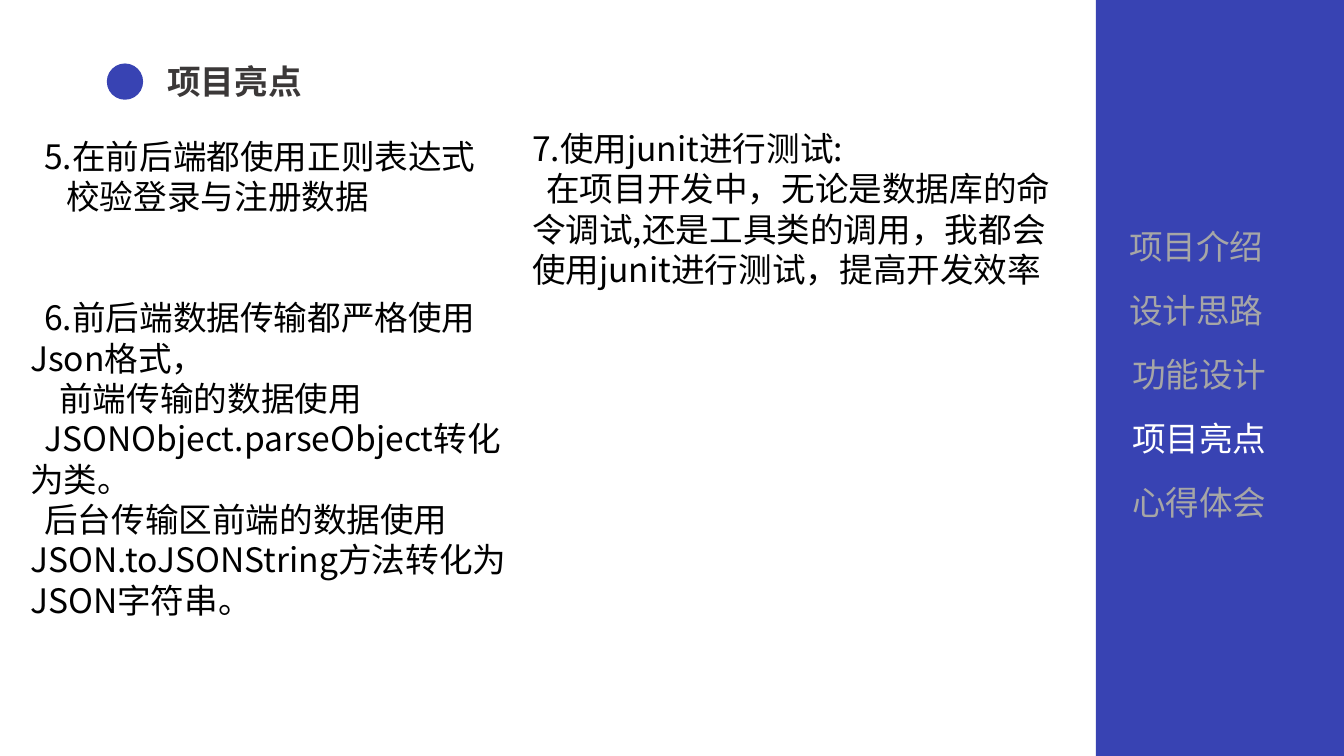
from pptx import Presentation
from pptx.dml.color import RGBColor
from pptx.enum import shapes, text
from pptx.oxml import ns
from pptx.util import Inches, Pt
from lxml import etree

COLORS = {"accent": "3843B3", "title": "3B3838", "body": "000000",
          "muted": "A6A6A6", "active": "FFFFFF"}
FONT = "Noto Sans CJK SC"
LINE = 0.4  # line pitch in inches

NAV = ["项目介绍", "设计思路", "功能设计", "项目亮点", "心得体会"]
# Each paragraph: text, first-line indent, space before
LEFT = [
    ("5.在前后端都使用正则表达式", 0.14, 0),
    ("校验登录与注册数据", 0.36, 0),
    ("6.前后端数据传输都严格使用 Json格式，", 0.14, 2 * LINE),
    ("前端传输的数据使用", 0.29, 0),
    ("JSONObject.parseObject转化为类。", 0.14, 0),
    ("后台传输区前端的数据使用JSON.toJSONString方法转化为JSON字符串。", 0.14, 0),
]
RIGHT = [
    ("7.使用junit进行测试:", 0, 0),
    ("在项目开发中，无论是数据库的命令调试,还是工具类的调用，"
     "我都会使用junit进行测试，提高开发效率", 0.14, 0),
]


def add_block(s, x, y, w, h, kind):
    sp = s.shapes.add_shape(kind, Inches(x), Inches(y), Inches(w), Inches(h))
    sp.shadow.inherit = False
    sp.fill.solid()
    sp.fill.fore_color.rgb = RGBColor.from_string(COLORS["accent"])
    sp.line.fill.background()


def add_text(s, x, y, w, h, paragraphs, color, bold=False):
    tf = s.shapes.add_textbox(Inches(x), Inches(y), Inches(w), Inches(h)).text_frame
    tf.word_wrap = True
    tf.auto_size = text.MSO_AUTO_SIZE.SHAPE_TO_FIT_TEXT
    for i, (words, indent, before) in enumerate(paragraphs):
        p = tf.add_paragraph() if i else tf.paragraphs[0]
        p.text = words
        p.line_spacing = Inches(LINE)
        p.space_before = Inches(before)
        p._p.get_or_add_pPr().set("indent", str(Inches(indent)))
        font = p.runs[0].font
        font.name, font.size, font.bold = FONT, Pt(24), bold
        font.color.rgb = RGBColor.from_string(COLORS[color])
        # East Asian typeface
        etree.SubElement(font._element, ns.qn("a:ea")).set("typeface", FONT)


def add_heading(s, x, y, title):
    add_block(s, x, y + 0.07, 0.36, 0.36, shapes.MSO_SHAPE.OVAL)
    add_text(s, x + 0.5, y, 2.91, 0.5, [(title, 0, 0)], "title", True)


def add_sidebar(s, x, w, h, current):
    add_block(s, x, 0, w, h, shapes.MSO_SHAPE.RECTANGLE)
    for i, label in enumerate(NAV):
        left = x + (0.23 if i < 2 else 0.26)
        color = "active" if label == current else "muted"
        add_text(s, left, 2.19 + i * 0.635, 1.95, 0.5, [(label, 0, 0)], color)


def add_highlights(s, x, y):
    add_text(s, x, y + 0.08, 4.98, 5.35, LEFT, "body")
    add_text(s, x + 4.98, y, 5.56, 1.72, RIGHT, "body")


def main():
    prs = Presentation()
    prs.slide_width, prs.slide_height = Inches(13.33), Inches(7.5)
    s = prs.slides.add_slide(prs.slide_layouts[6])
    add_sidebar(s, 10.87, 2.46, 7.5, "项目亮点")
    add_heading(s, 1.06, 0.56, "项目亮点")
    add_highlights(s, 0.2, 1.22)
    prs.save("out.pptx")


if __name__ == "__main__":
    main()
